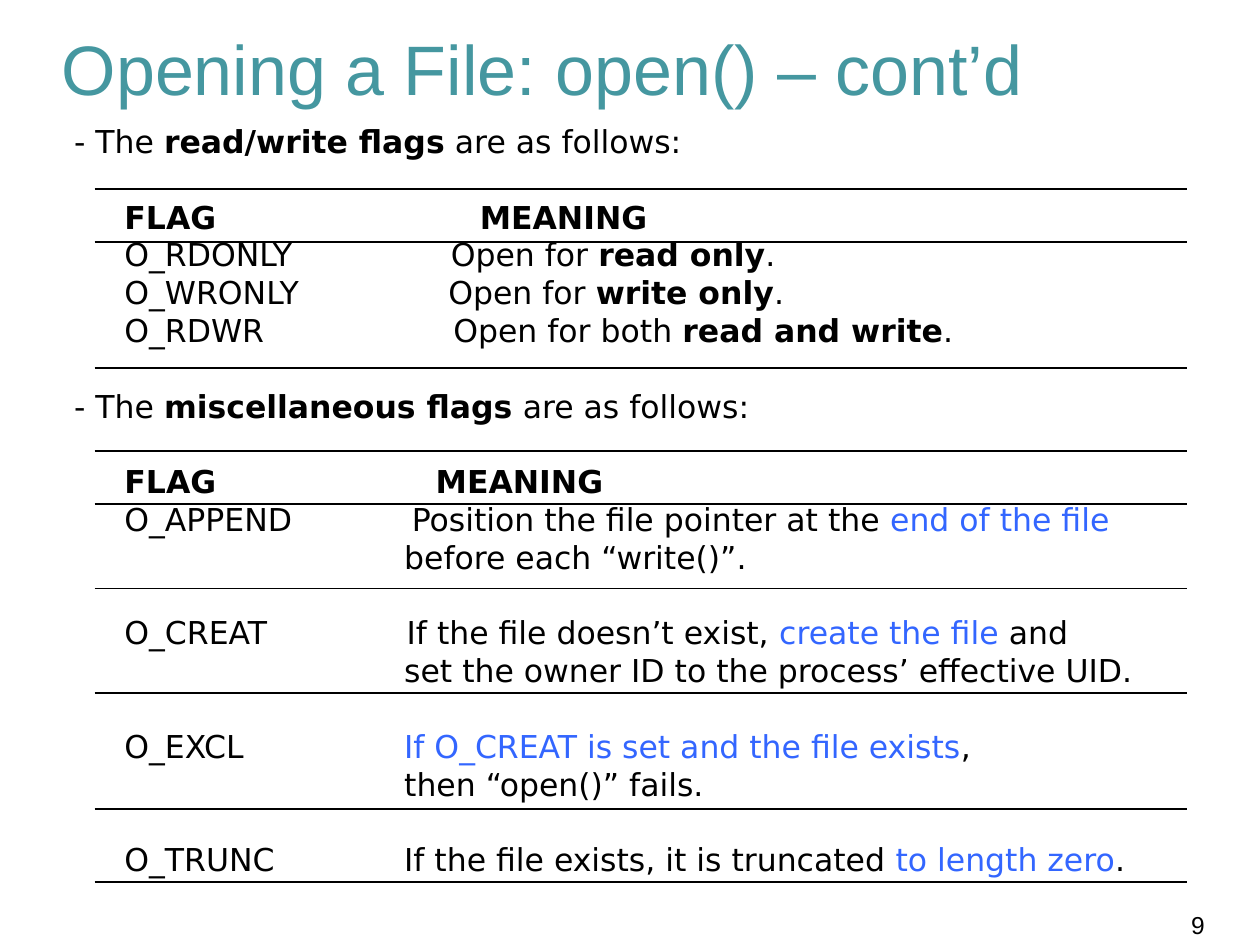
from lxml.etree import SubElement
from pptx import Presentation
from pptx.dml.color import RGBColor
from pptx.enum.shapes import MSO_CONNECTOR
from pptx.enum.text import MSO_ANCHOR, MSO_AUTO_SIZE, PP_ALIGN
from pptx.oxml.ns import qn
from pptx.util import Inches, Pt

theme = {
    "title": {"name": "Arial", "size": Pt(40), "color": "4597A0"},
    "body": {"name": "DejaVu Sans", "size": Pt(18), "color": "000000"},
    "bold": {"name": "DejaVu Sans", "size": Pt(18), "color": "000000", "bold": True},
    "blue": {"name": "DejaVu Sans", "size": Pt(18), "color": "3366FF"},
    "page": {"name": "Arial", "size": Pt(14), "color": "000000"},
    "rule": "000000",
}
pitch = 21.6  # line height in points


def write(para, text, style):
    run = para.add_run()
    run.text = text
    for key, value in theme[style].items():
        if key == "color":
            run.font.color.rgb = RGBColor.from_string(value)
        else:
            setattr(run.font, key, value)


def place(shape, left, top, width, height, anchor):
    shape.left, shape.top = Inches(left), Inches(top)
    shape.width, shape.height = Inches(width), Inches(height)
    frame = shape.text_frame
    form = {"word_wrap": True, "auto_size": MSO_AUTO_SIZE.NONE,
            "vertical_anchor": anchor}
    for key, value in form.items():
        setattr(frame, key, value)
    return frame


deck = Presentation()
deck.slide_width, deck.slide_height = Inches(10), Inches(7.5)
slide = deck.slides.add_slide(deck.slide_layouts[5])

# Title
head = place(slide.shapes.title, 0.39, 0.42, 8.5, 0.5, MSO_ANCHOR.BOTTOM)
head.paragraphs[0].alignment = PP_ALIGN.LEFT
write(head.paragraphs[0], "Opening a File: open() – cont’d", "title")

# Flag lists: blank lines before, tab stops, style between bars, text
# A text box, since the body placeholder's hanging indent overrides tab stops
intro, flag, wrap = 0.16, 0.56, 2.78
rows = [
    (0, [intro], "bold", "\t- The |read/write flags| are as follows:"),
    (1, [flag, 3.38], "bold", "|\tFLAG\tMEANING|"),
    (0, [flag, 3.15], "bold", "\tO_RDONLY\tOpen for |read only|."),
    (0, [flag, 3.13], "bold", "\tO_WRONLY\tOpen for |write only|."),
    (0, [flag, 3.17], "bold", "\tO_RDWR\tOpen for both |read and write|."),
    (1, [intro], "bold", "\t- The |miscellaneous flags| are as follows:"),
    (1, [flag, 3.03], "bold", "|\tFLAG\tMEANING|"),
    (0, [flag, 2.84], "blue",
     "\tO_APPEND\tPosition the file pointer at the |end of the file|"),
    (0, [wrap], "blue", "\tbefore each “write()”."),
    (1, [flag, 2.8], "blue",
     "\tO_CREAT\tIf the file doesn’t exist, |create the file| and"),
    (0, [wrap], "blue", "\tset the owner ID to the process’ effective UID."),
    (1, [flag, wrap], "blue",
     "\tO_EXCL\t|If O_CREAT is set and the file exists|,"),
    (0, [wrap], "blue", "\tthen “open()” fails."),
    (1, [flag, wrap], "blue",
     "\tO_TRUNC\tIf the file exists, it is truncated |to length zero|."),
]
text_box = slide.shapes.add_textbox(0, 0, 0, 0)
body = place(text_box, 0.33, 0.92, 9.36, 6.1, MSO_ANCHOR.TOP)
for n, (gap, stops, mark, text) in enumerate(rows):
    para = body.add_paragraph() if n else body.paragraphs[0]
    form = {"alignment": PP_ALIGN.LEFT, "line_spacing": Pt(pitch),
            "space_before": Pt(gap * pitch), "space_after": Pt(0)}
    for key, value in form.items():
        setattr(para, key, value)
    tabs = SubElement(para._p.get_or_add_pPr(), qn("a:tabLst"))
    for stop in stops:
        SubElement(tabs, qn("a:tab"), pos=str(Inches(stop)), algn="l")
    for i, part in enumerate(text.split("|")):
        if part:
            write(para, part, mark if i % 2 else "body")

# Rules between the rows
for y in (1.5, 1.92, 2.92, 3.58, 4, 4.67, 5.5, 6.42, 7):
    rule = slide.shapes.add_connector(
        MSO_CONNECTOR.STRAIGHT, Inches(0.75), Inches(y), Inches(9.42), Inches(y))
    rule.line.color.rgb = RGBColor.from_string(theme["rule"])
    rule.line.width = Pt(0.74)
    SubElement(rule._element.spPr, qn("a:effectLst"))

# Page number
box = slide.shapes.add_textbox(0, 0, 0, 0)
page = place(box, 9.08, 7.17, 0.58, 0.33, MSO_ANCHOR.TOP)
page.paragraphs[0].alignment = PP_ALIGN.RIGHT
write(page.paragraphs[0], "9", "page")

deck.save("out.pptx")
